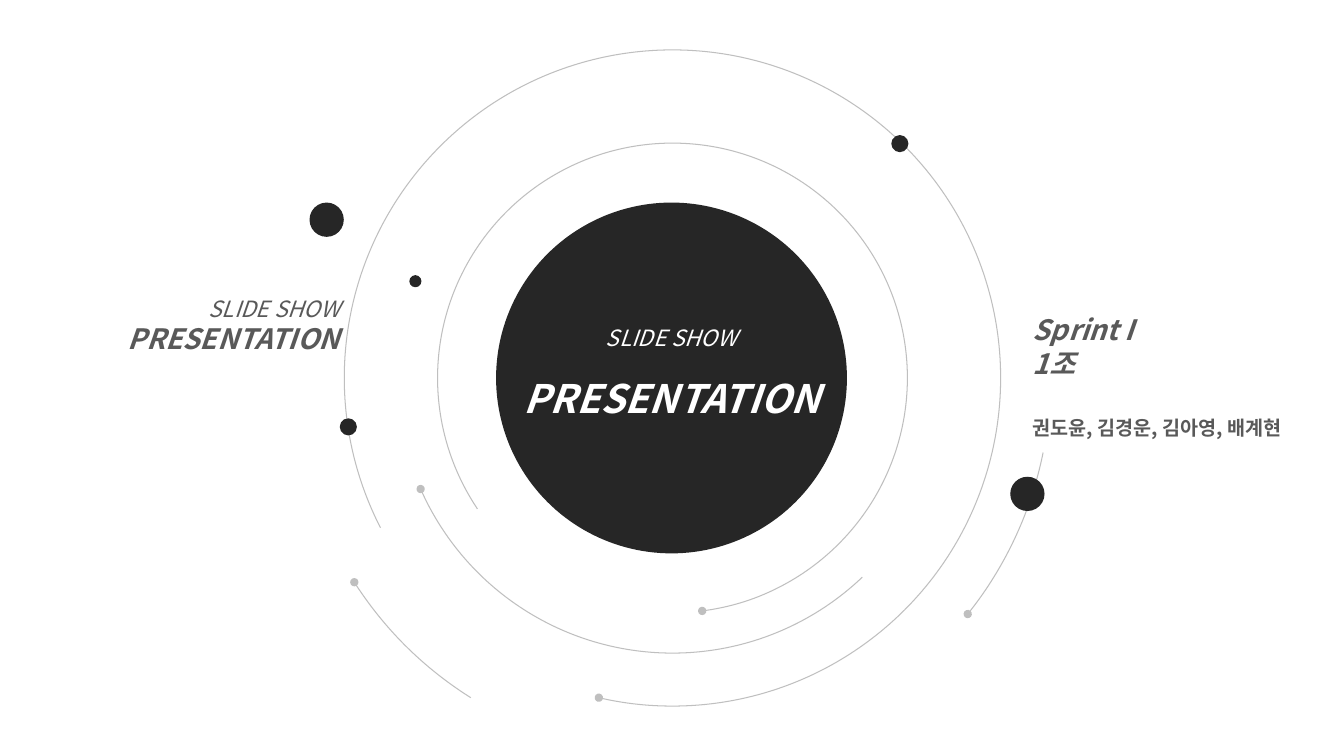
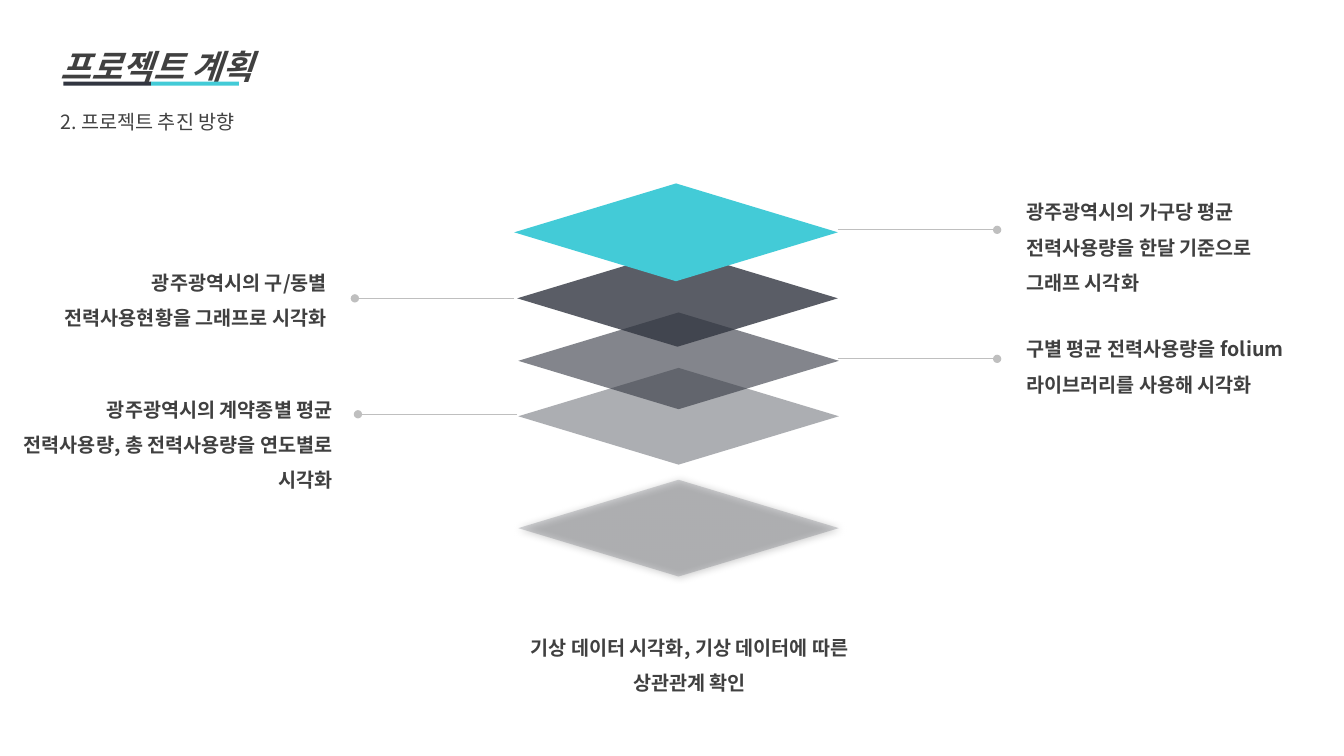
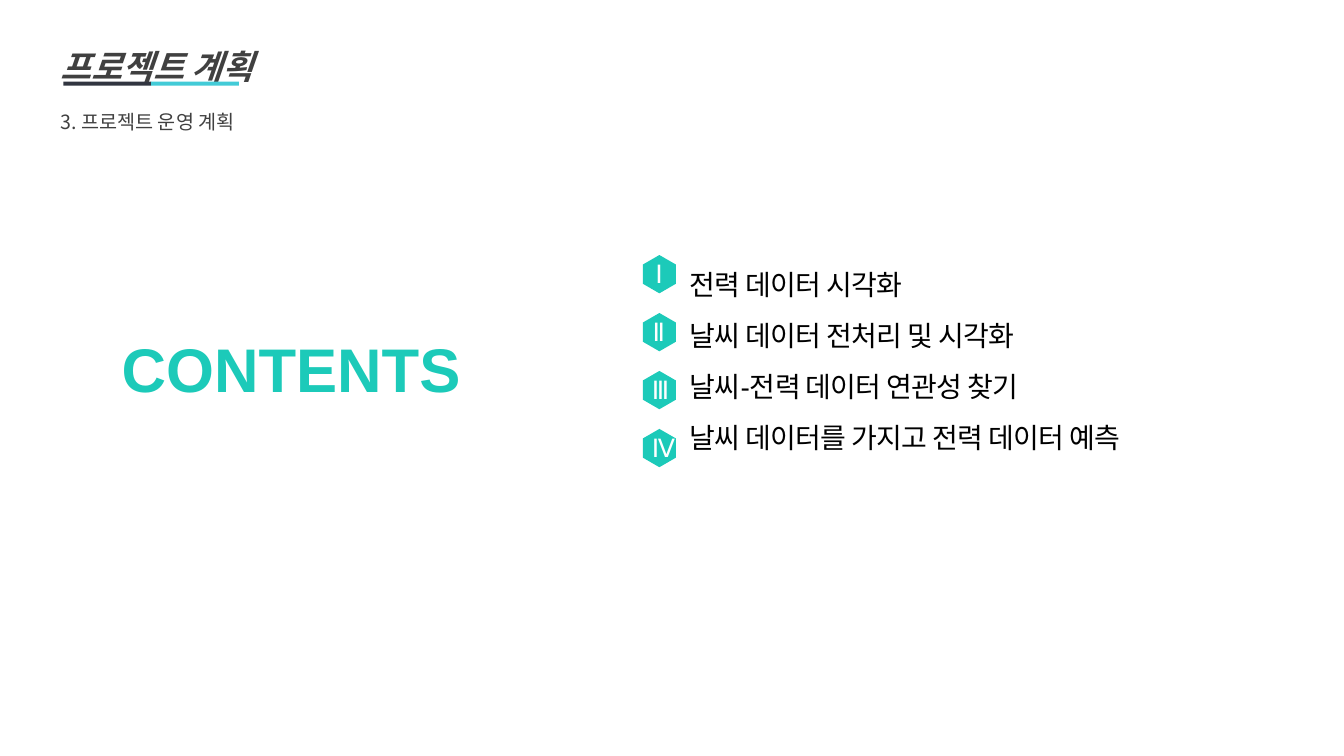
from dataclasses import dataclass, replace
from math import cos, pi, sin

from lxml import etree
from pptx import Presentation
from pptx.dml.color import RGBColor
from pptx.enum.shapes import MSO_CONNECTOR, MSO_SHAPE
from pptx.enum.text import MSO_ANCHOR, MSO_AUTO_SIZE, PP_ALIGN
from pptx.oxml.ns import qn
from pptx.util import Inches, Pt

ARC, DIAMOND = MSO_SHAPE.ARC, MSO_SHAPE.DIAMOND
OVAL, RECT = MSO_SHAPE.OVAL, MSO_SHAPE.RECTANGLE
STRAIGHT = MSO_CONNECTOR.STRAIGHT
TOP, MIDDLE = MSO_ANCHOR.TOP, MSO_ANCHOR.MIDDLE
LEFT, CENTER, RIGHT = PP_ALIGN.LEFT, PP_ALIGN.CENTER, PP_ALIGN.RIGHT
FIXED, GROW = MSO_AUTO_SIZE.NONE, MSO_AUTO_SIZE.SHAPE_TO_FIT_TEXT
TITLE_AND_BODY, TITLE_ONLY = 1, 5
INSETS = (0.1, 0.05, 0.1, 0.05)
NO_INSETS = (0, 0, 0, 0)


@dataclass(frozen=True)
class Style:
    size: float
    color: str
    bold: bool = False
    italic: bool = False
    font: str = "Noto Sans CJK KR"
    spacing: float = 0


class Theme:
    asian_font = "Noto Sans CJK KR"
    ink, slate, cyan, teal, grey = "262626", "313540", "43CBD7", "1CCAB9", "BFBFBF"
    arc_width, lead_width = 0.75, 0.5
    cover_small = Style(16, "FFFFFF", italic=True)
    cover_large = Style(28, "FFFFFF", bold=True, italic=True)
    side_small = Style(16, "595959", italic=True)
    side_large = Style(20, "595959", bold=True, italic=True)
    members = Style(14, "595959", bold=True)
    heading = Style(24, "404040", bold=True, italic=True)
    subheading = Style(14, "404040")
    note = replace(subheading, bold=True)
    contents = Style(44, teal, bold=True, font="Arial")
    item = Style(20, "000000", font="Arial", spacing=-0.5)
    badge = Style(18, "FFFFFF", font="Arial", spacing=-0.5)


# Elements
def box(*lengths):
    return [Inches(v) for v in lengths]


def sub(parent, tag, **attrs):
    return etree.SubElement(parent, qn(tag), {k: str(v) for k, v in attrs.items()})


def place(sp, at):
    sp.left, sp.top, sp.width, sp.height = box(*at)


def paint(sp, color, alpha=100):
    sp.shadow.inherit = False
    sp.fill.solid()
    sp.fill.fore_color.rgb = RGBColor.from_string(color)
    sp.line.fill.background()
    if alpha < 100:
        clr = next(sp.fill.fore_color._xFill.iter(qn("a:srgbClr")))
        sub(clr, "a:alpha", val=alpha * 1000)


def stroke(sp, width):
    """Grey line that ends in a dot."""
    sp.line.color.rgb = RGBColor.from_string(Theme.grey)
    sp.line.width = Pt(width)
    sub(sp.line._get_or_add_ln(), "a:tailEnd", type="oval")


def style_run(r, style):
    r.font.size, r.font.bold, r.font.italic = Pt(style.size), style.bold, style.italic
    r.font.color.rgb = RGBColor.from_string(style.color)
    r.font.name = style.font
    rPr = r.font._element
    sub(rPr, "a:ea", typeface=Theme.asian_font)
    if style.spacing:
        rPr.set("spc", str(int(style.spacing * 100)))


def write(sp, paragraphs, align=LEFT, anchor=TOP, insets=INSETS, size=FIXED, wrap=True):
    """Each paragraph is (line spacing, (text, style), ...)."""
    tf = sp.text_frame
    tf.word_wrap, tf.auto_size, tf.vertical_anchor = wrap, size, anchor
    tf.margin_left, tf.margin_top, tf.margin_right, tf.margin_bottom = box(*insets)
    for i, (spacing, *runs) in enumerate(paragraphs):
        p = tf.add_paragraph() if i else tf.paragraphs[0]
        p.alignment, p.line_spacing = align, spacing
        p.space_before = Pt(0)
        for text, style in runs:
            r = p.add_run()
            r.text = text
            style_run(r, style)


def text_box(s, at, paragraphs, **options):
    write(s.shapes.add_textbox(*box(*at)), paragraphs, **options)


def shape(s, kind, at, color, alpha=100):
    sp = s.shapes.add_shape(kind, *box(*at))
    paint(sp, color, alpha)
    return sp


def arc(s, diameter, start, end):
    """Arc around the centre of the cover, angles in degrees."""
    cx, cy = 6.67, 3.75
    sp = s.shapes.add_shape(
        ARC, *box(cx - diameter / 2, cy - diameter / 2, diameter, diameter))
    sp.shadow.inherit = False
    sp.fill.background()
    sp.adjustments[0], sp.adjustments[1] = start * 0.6, end * 0.6
    stroke(sp, Theme.arc_width)


def lead_line(s, x, y, length):
    cxn = s.shapes.add_connector(STRAIGHT, *box(x, y, x + length, y))
    stroke(cxn, Theme.lead_width)
    sub(cxn._element.spPr, "a:effectLst")


def hexagon(s, cx, cy, numeral):
    rx, ry = 0.19, 0.19
    points = [(Inches(cx + rx * sin(k * pi / 3)), Inches(cy - ry * cos(k * pi / 3)))
              for k in range(6)]
    builder = s.shapes.build_freeform(*points[0])
    builder.add_line_segments(points[1:], close=True)
    sp = builder.convert_to_shape()
    paint(sp, Theme.teal)
    write(sp, [(1.0, (numeral, Theme.badge))], align=CENTER, anchor=MIDDLE,
          insets=(0.09, 0.04, 0.1, 0.05))


def header(s, subheading):
    title = s.shapes.title
    place(title, (0.5, 0.01, 4.6, 1.38))
    write(title, [(2.0, ("프로젝트 계획", Theme.heading)),
                  (2.0, (subheading, Theme.subheading))], size=GROW)
    for i, color in enumerate((Theme.slate, Theme.cyan)):
        shape(s, RECT, (0.63 + i * 0.87, 0.81, 0.87, 0.04), color)


# Slides
def cover(prs):
    s = prs.slides.add_slide(prs.slide_layouts[TITLE_ONLY])
    disc = shape(s, OVAL, (4.92, 2.01, 3.48, 3.48), Theme.ink)
    title = s.shapes.title
    disc.element.addnext(title.element)
    place(title, (4.92, 3.03, 3.48, 1.12))
    write(title, [(1.5, ("SLIDE SHOW ", Theme.cover_small),
                   ("PRESENTATION", Theme.cover_large))], align=CENTER, size=GROW)

    for diameter, start, end in ((4.66, 244.5, 135), ):
        pass
    for diameter, start, end in ((4.66, 146.13, 82.73), (5.46, 46.39, 156.19),
                                 (6.51, 152.84, 102.97), (7.5, 11.38, 38.65),
                                 (7.5, 122.24, 147.29)):
        arc(s, diameter, start, end)
    for x, y, d in ((10.02, 4.73, 0.34), (3.07, 2.01, 0.34), (3.37, 4.15, 0.17),
                    (4.06, 2.73, 0.12), (8.84, 1.34, 0.17)):
        shape(s, OVAL, (x, y, d, d), Theme.ink)

    text_box(s, (0.28, 2.59, 3.09, 1.27),
             [(1.0, ("SLIDE SHOW ", Theme.side_small), ("PRESENTATION", Theme.side_large))],
             align=RIGHT, anchor=MIDDLE, insets=NO_INSETS)
    text_box(s, (10.24, 2.86, 3.09, 1.74),
             [(1.0, ("Sprint I", Theme.side_large)), (1.0, ("1조", Theme.side_large)),
              (2.5, ("권도윤, 김경운, 김아영, 배계현", Theme.members))],
             anchor=MIDDLE, insets=NO_INSETS)


def direction(prs):
    s = prs.slides.add_slide(prs.slide_layouts[TITLE_ONLY])
    header(s, "2. 프로젝트 추진 방향")

    # Stacked layers, lowest first
    layers = [shape(s, DIAMOND, (x, y, 3.18, 0.96), Theme.slate, alpha)
              for x, y, alpha in ((5.14, 4.76, 20), (5.14, 3.65, 40),
                                  (5.14, 3.1, 60), (5.13, 2.48, 80))]
    effects = layers[0]._element.spPr.find(qn("a:effectLst"))
    shadow = sub(effects, "a:outerShdw", blurRad=Pt(6), dist=Pt(1), dir=45 * 60000)
    sub(sub(shadow, "a:srgbClr", val="000000"), "a:alpha", val=20000)
    shape(s, DIAMOND, (5.1, 1.82, 3.21, 0.97), Theme.cyan)

    # Lead lines and notes
    for x, y, length in ((8.31, 2.28, 1.58), (8.31, 3.56, 1.58),
                         (5.1, 2.96, -1.58), (5.13, 4.11, -1.58)):
        lead_line(s, x, y, length)
    for at, align, text in (
            ((10.08, 1.82, 3.02, 1.16), LEFT,
             "광주광역시의 가구당 평균 전력사용량을 한달 기준으로 그래프 시각화"),
            ((10.08, 3.18, 2.98, 0.81), LEFT,
             "구별 평균 전력사용량을 folium 라이브러리를 사용해 시각화"),
            ((0.5, 2.52, 2.84, 0.81), RIGHT,
             "광주광역시의 구/동별 전력사용현황을 그래프로 시각화"),
            ((0.11, 3.78, 3.29, 1.16), RIGHT,
             "광주광역시의 계약종별 평균 전력사용량, 총 전력사용량을 연도별로 시각화"),
            ((4.82, 6.14, 4.04, 0.76), CENTER,
             "기상 데이터 시각화, 기상 데이터에 따른 상관관계 확인")):
        text_box(s, at, [(1.5, (text, Theme.note))], align=align, size=GROW)


def operation(prs):
    s = prs.slides.add_slide(prs.slide_layouts[TITLE_AND_BODY])
    header(s, "3. 프로젝트 운영 계획")
    text_box(s, (1.28, 3.35, 3.39, 0.6), [(1.0, ("CONTENTS", Theme.contents))],
             align=RIGHT, anchor=MIDDLE, wrap=False)

    # Numbered list
    items = (("Ⅰ", "전력 데이터 시각화"), ("Ⅱ", "날씨 데이터 전처리 및 시각화"),
             ("Ⅲ", "날씨-전력 데이터 연관성 찾기"),
             ("Ⅳ", "날씨 데이터를 가지고 전력 데이터 예측"))
    body = s.placeholders[1]
    place(body, (6.74, 2.5, 5, 2.16))
    write(body, [(1.0, (text, Theme.item)) for _, text in items], anchor=MIDDLE)
    for i, p in enumerate(body.text_frame.paragraphs):
        pPr = p._p.get_or_add_pPr()
        pPr.set("marL", "0")
        pPr.set("indent", "0")
        sub(pPr, "a:buNone")
        p.space_before = Pt(12.4 if i else 0)
    for i, (numeral, _) in enumerate(items):
        hexagon(s, 6.54, 2.72 + i * 0.575, numeral)


def main():
    prs = Presentation()
    prs.slide_width, prs.slide_height = box(13.33, 7.5)
    cover(prs)
    direction(prs)
    operation(prs)
    prs.save("out.pptx")


if __name__ == "__main__":
    main()
